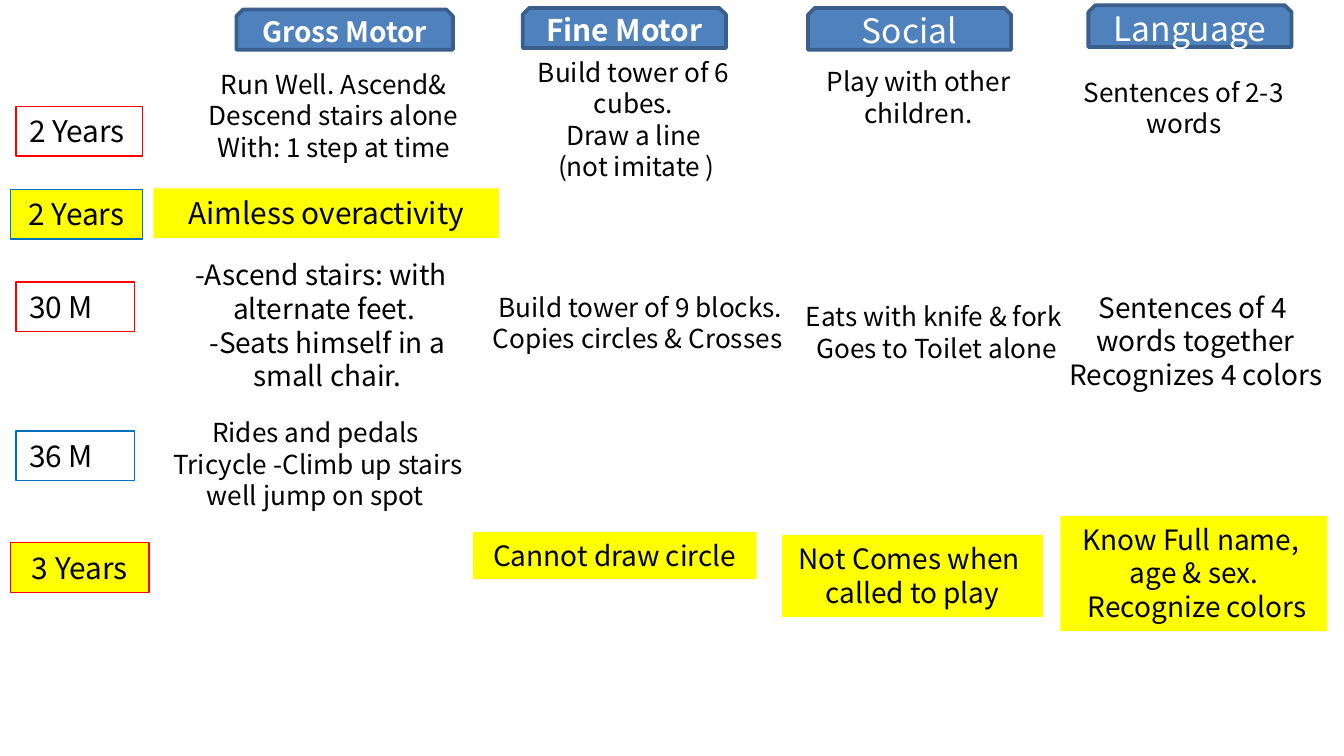
from dataclasses import dataclass
from typing import Optional

import pptx
import pptx.dml.color
import pptx.enum.shapes
import pptx.enum.text
import pptx.util

Cm = pptx.util.Cm
Pt = pptx.util.Pt
RGBColor = pptx.dml.color.RGBColor
Align = pptx.enum.text.PP_ALIGN
Anchor = pptx.enum.text.MSO_ANCHOR
AutoShape = pptx.enum.shapes.MSO_SHAPE

BLACK = RGBColor(0x00, 0x00, 0x00)
WHITE = RGBColor(0xFF, 0xFF, 0xFF)
RED = RGBColor(0xFF, 0x00, 0x00)
BLUE = RGBColor(0x00, 0x70, 0xC0)
YELLOW = RGBColor(0xFF, 0xFF, 0x00)
HEADER_FILL = RGBColor(0x4F, 0x81, 0xBD)
HEADER_LINE = RGBColor(0x3A, 0x5F, 0x8C)

FONT = "Noto Sans CJK KR"
LINE_HEIGHT = 1.2


@dataclass
class Header:
    left: float
    top: float
    width: float
    height: float
    text: str
    size: int
    bold: bool = False


@dataclass
class Age:
    left: float
    top: float
    width: float
    text: str
    line: RGBColor
    warning: bool = False


@dataclass
class Milestone:
    left: float
    top: float
    width: float
    height: float
    size: int
    paragraphs: tuple[str, ...]
    warning: bool = False


HEADERS = [
    Header(4.47, 0.18, 4.09, 0.76, "Gross Motor", 15, True),
    Header(9.88, 0.15, 3.84, 0.76, "Fine Motor", 16, True),
    Header(15.27, 0.15, 3.84, 0.79, "Social", 18),
    Header(20.57, 0.10, 3.84, 0.79, "Language", 18),
]

AGE_HEIGHT = 0.94
AGES = [
    Age(0.30, 2.01, 2.39, "2 Years", RED),
    Age(0.20, 3.58, 2.49, "2 Years", BLUE, True),
    Age(0.30, 5.33, 2.24, "30 M", RED),
    Age(0.30, 8.15, 2.24, "36 M", BLUE),
    Age(0.20, 10.26, 2.62, "3 Years", RED, True),
]

MILESTONES = [
    # 2 years
    Milestone(3.63, 1.17, 5.36, 2.06, 14,
              ("Run Well. Ascend& Descend stairs alone With: 1 step at time",)),
    Milestone(9.53, 0.94, 5.00, 2.64, 14,
              ("Build tower of 6 ", "cubes. ", "Draw a line ", "(not imitate )")),
    Milestone(15.04, 1.12, 4.75, 1.45, 14, ("Play with other ", "children. ")),
    Milestone(19.35, 1.32, 6.05, 1.45, 14, ("Sentences of 2-3", " words ")),
    Milestone(2.90, 3.56, 6.53, 0.94, 16, ("Aimless overactivity",), True),
    # 30 months
    Milestone(3.35, 4.75, 5.56, 2.82, 15,
              ("-Ascend stairs: with ", "alternate feet.",
               " -Seats himself in a", " small chair.")),
    Milestone(9.04, 5.38, 6.02, 1.45, 14,
              (" Build tower of 9 blocks. ", "Copies circles & Crosses")),
    Milestone(14.68, 5.56, 6.05, 1.45, 14,
              ("Eats with knife & fork ", "Goes to Toilet alone")),
    Milestone(19.91, 5.36, 5.38, 2.18, 15,
              ("Sentences of 4 ", "words together", "Recognizes 4 colors")),
    # 36 months and 3 years
    Milestone(2.92, 7.75, 6.20, 2.06, 14,
              ("Rides and pedals ", "Tricycle -Climb up stairs well jump on spot ")),
    Milestone(8.94, 10.06, 5.36, 0.89, 15, ("Cannot draw circle",), True),
    Milestone(14.78, 10.11, 4.93, 1.55, 15,
              ("Not Comes when ", "called to play"), True),
    Milestone(20.04, 9.75, 5.05, 2.18, 15,
              ("Know Full name, ", "age & sex.", " Recognize colors"), True),
]


def add_box(slide, kind: int, left: float, top: float, width: float, height: float,
            fill: Optional[RGBColor] = None, line: Optional[RGBColor] = None,
            line_width: float = 0.75):
    shape = slide.shapes.add_shape(kind, Cm(left), Cm(top), Cm(width), Cm(height))
    shape.shadow.inherit = False
    if fill is None:
        shape.fill.background()
    else:
        shape.fill.solid()
        shape.fill.fore_color.rgb = fill
    if line is None:
        shape.line.fill.background()
    else:
        shape.line.color.rgb = line
        shape.line.width = Pt(line_width)
    return shape


def write(shape, paragraphs: tuple[str, ...], size: int, color: RGBColor = BLACK,
          bold: bool = False, align: int = Align.CENTER, anchor: int = Anchor.TOP) -> None:
    frame = shape.text_frame
    frame.word_wrap = True
    frame.vertical_anchor = anchor
    font_format = {"name": FONT, "size": Pt(size), "bold": bold}
    for index, text in enumerate(paragraphs):
        paragraph = frame.add_paragraph() if index else frame.paragraphs[0]
        paragraph.alignment = align
        paragraph.line_spacing = Pt(size * LINE_HEIGHT)
        run = paragraph.add_run()
        run.text = text
        for name, value in font_format.items():
            setattr(run.font, name, value)
        run.font.color.rgb = color


def add_header(slide, header: Header) -> None:
    shape = add_box(slide, AutoShape.SNIP_2_SAME_RECTANGLE, header.left, header.top,
                    header.width, header.height, HEADER_FILL, HEADER_LINE, 2)
    write(shape, (header.text,), header.size, WHITE, header.bold, anchor=Anchor.MIDDLE)


def add_age(slide, age: Age) -> None:
    shape = add_box(slide, AutoShape.RECTANGLE, age.left, age.top, age.width, AGE_HEIGHT,
                    YELLOW if age.warning else None, age.line)
    write(shape, (age.text,), 16, align=Align.CENTER if age.warning else Align.LEFT)


def add_milestone(slide, milestone: Milestone) -> None:
    place = (milestone.left, milestone.top, milestone.width, milestone.height)
    if milestone.warning:
        shape = add_box(slide, AutoShape.RECTANGLE, *place, fill=YELLOW)
    else:
        shape = slide.shapes.add_textbox(*map(Cm, place))
    write(shape, milestone.paragraphs, milestone.size)


def main() -> None:
    presentation = pptx.Presentation()
    presentation.slide_width = Cm(25.4)
    presentation.slide_height = Cm(14.29)
    slide = presentation.slides.add_slide(presentation.slide_layouts[6])
    for milestone in MILESTONES:
        add_milestone(slide, milestone)
    for age in AGES:
        add_age(slide, age)
    for header in HEADERS:
        add_header(slide, header)
    presentation.save("out.pptx")


if __name__ == "__main__":
    main()
